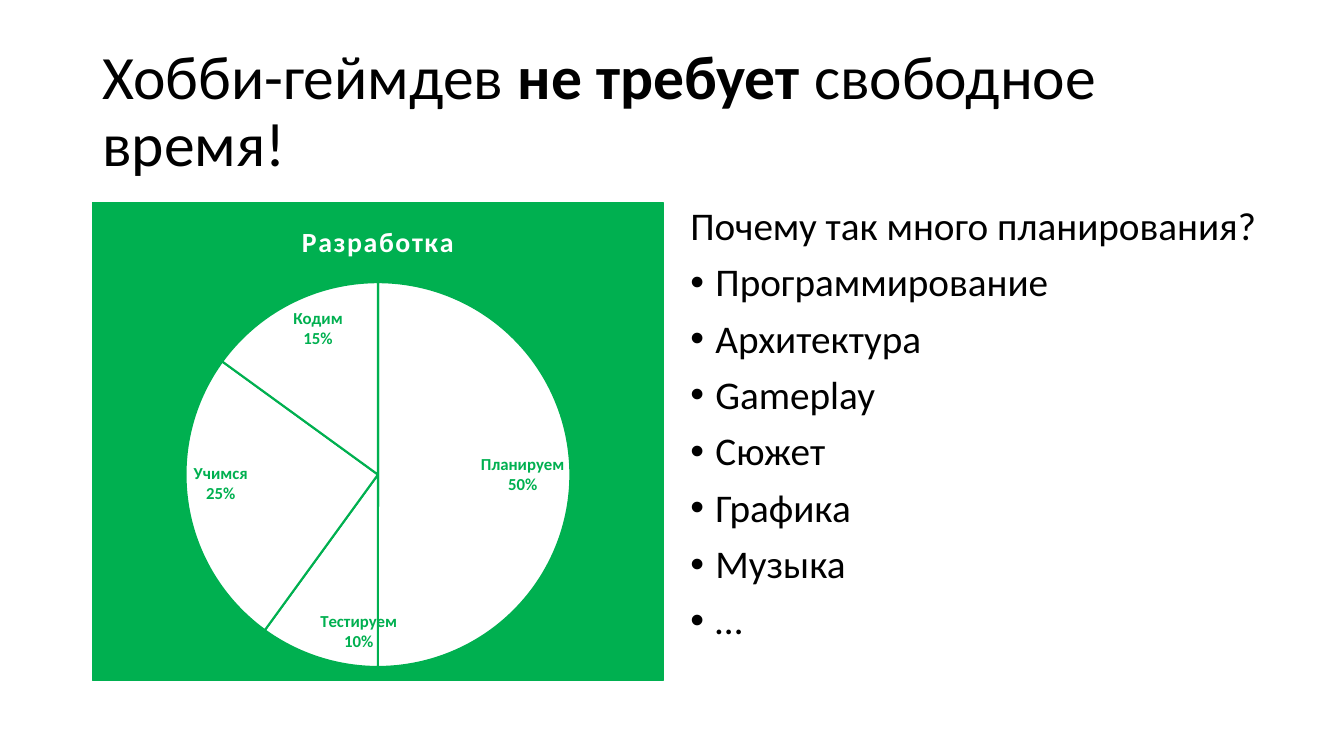
from dataclasses import dataclass

from lxml import etree
from pptx import Presentation
from pptx.chart.data import CategoryChartData
from pptx.dml.color import RGBColor
from pptx.enum.chart import XL_CHART_TYPE, XL_LABEL_POSITION
from pptx.enum.text import MSO_ANCHOR
from pptx.oxml import parse_xml
from pptx.oxml.ns import nsdecls, qn
from pptx.slide import Slide
from pptx.text.text import Font, TextFrame
from pptx.util import Emu, Pt

PIE = XL_CHART_TYPE.PIE
INNER = XL_LABEL_POSITION.INSIDE_END
TOP = MSO_ANCHOR.TOP
MIDDLE = MSO_ANCHOR.MIDDLE
SCALE = 9525


@dataclass(frozen=True)
class Theme:
    face: str = "Calibri"
    black: str = "000000"
    white: str = "FFFFFF"
    green: str = "00B050"
    head: float = 44
    body: float = 28
    title: float = 19.9
    label: float = 12
    base: float = 10


@dataclass(frozen=True)
class Box:
    left: int
    top: int
    width: int
    height: int

    def emu(self) -> list[Emu]:
        return [px(n) for n in (self.left, self.top, self.width, self.height)]


@dataclass(frozen=True)
class Slice:
    name: str
    share: int


THEME = Theme()
HEAD = Box(88, 38, 1104, 139)
CHART = Box(88, 192, 544, 457)
BODY = Box(648, 192, 567, 457)
NAME = "Разработка"
SLICES = [
    Slice("Планируем", 50),
    Slice("Тестируем", 10),
    Slice("Учимся", 25),
    Slice("Кодим", 15),
]
WORDS = [("Хобби-геймдев ", False), ("не требует ", True), ("свободное время!", False)]
LEAD = "Почему так много планирования?"
TOPICS = ["Программирование", "Архитектура", "Gameplay", "Сюжет", "Графика", "Музыка", "…"]


def px(count: int) -> Emu:
    return Emu(count * SCALE)


def style(font: Font, size: float, color: str, bold: bool = False) -> None:
    font.name = THEME.face
    font.size = Pt(size)
    font.bold = bold
    font.color.rgb = RGBColor.from_string(color)


def add_frame(slide: Slide, box: Box, anchor: MSO_ANCHOR) -> TextFrame:
    frame = slide.shapes.add_textbox(*box.emu()).text_frame
    frame.word_wrap = True
    frame.vertical_anchor = anchor
    return frame


def add_head(slide: Slide) -> None:
    para = add_frame(slide, HEAD, MIDDLE).paragraphs[0]
    para.line_spacing = 0.9
    for text, bold in WORDS:
        run = para.add_run()
        run.text = text
        style(run.font, THEME.head, THEME.black, bold)


def add_body(slide: Slide) -> None:
    frame = add_frame(slide, BODY, TOP)
    frame.text = "\n".join([LEAD, *TOPICS])
    for rank, para in enumerate(frame.paragraphs):
        para.line_spacing = 0.9
        para.space_before = Pt(10)
        style(para.runs[0].font, THEME.body, THEME.black)
        if rank:
            props = para._p.get_or_add_pPr()
            props.set("marL", str(px(24)))
            props.set("indent", str(px(-24)))
            etree.SubElement(props, qn("a:buFont")).set("typeface", "Arial")
            etree.SubElement(props, qn("a:buChar")).set("char", "•")


def add_pie(slide: Slide) -> None:
    data = CategoryChartData()
    data.categories = [part.name for part in SLICES]
    data.add_series(NAME, [part.share for part in SLICES])
    chart = slide.shapes.add_chart(PIE, *CHART.emu(), data).chart
    style(chart.font, THEME.base, THEME.black)
    chart.has_legend = False
    chart.has_title = True
    frame = chart.chart_title.text_frame
    frame.text = NAME
    font = frame.paragraphs[0].runs[0].font
    style(font, THEME.title, THEME.white, True)
    font._element.set("spc", "100")
    chart.chart_title.include_in_layout = False

    fill = f'<a:solidFill><a:srgbClr val="{THEME.green}"/></a:solidFill>'
    area = parse_xml(
        f'<c:spPr {nsdecls("c", "a")}>{fill}'
        f'<a:ln w="{Pt(0.75)}">{fill}</a:ln></c:spPr>'
    )
    chart._chartSpace.find(qn("c:chart")).addnext(area)

    plot = chart.plots[0]
    plot.vary_by_categories = False
    series = plot.series[0]
    for rank in range(len(SLICES)):
        look = series.points[rank].format
        look.fill.solid()
        look.fill.fore_color.rgb = RGBColor.from_string(THEME.white)
        look.line.color.rgb = RGBColor.from_string(THEME.green)
        look.line.width = Pt(1.5)

    labels = series.data_labels
    style(labels.font, THEME.label, THEME.green, True)
    labels.show_value = False
    labels.show_category_name = True
    labels.show_percentage = True
    labels.position = INNER
    gap = parse_xml(f'<c:separator {nsdecls("c")}>\n</c:separator>')
    labels._element.find(qn("c:showBubbleSize")).addnext(gap)


def main() -> None:
    deck = Presentation()
    deck.slide_width = px(1280)
    deck.slide_height = px(720)
    slide = deck.slides.add_slide(deck.slide_layouts[6])
    add_head(slide)
    add_pie(slide)
    add_body(slide)
    deck.save("out.pptx")


if __name__ == "__main__":
    main()
